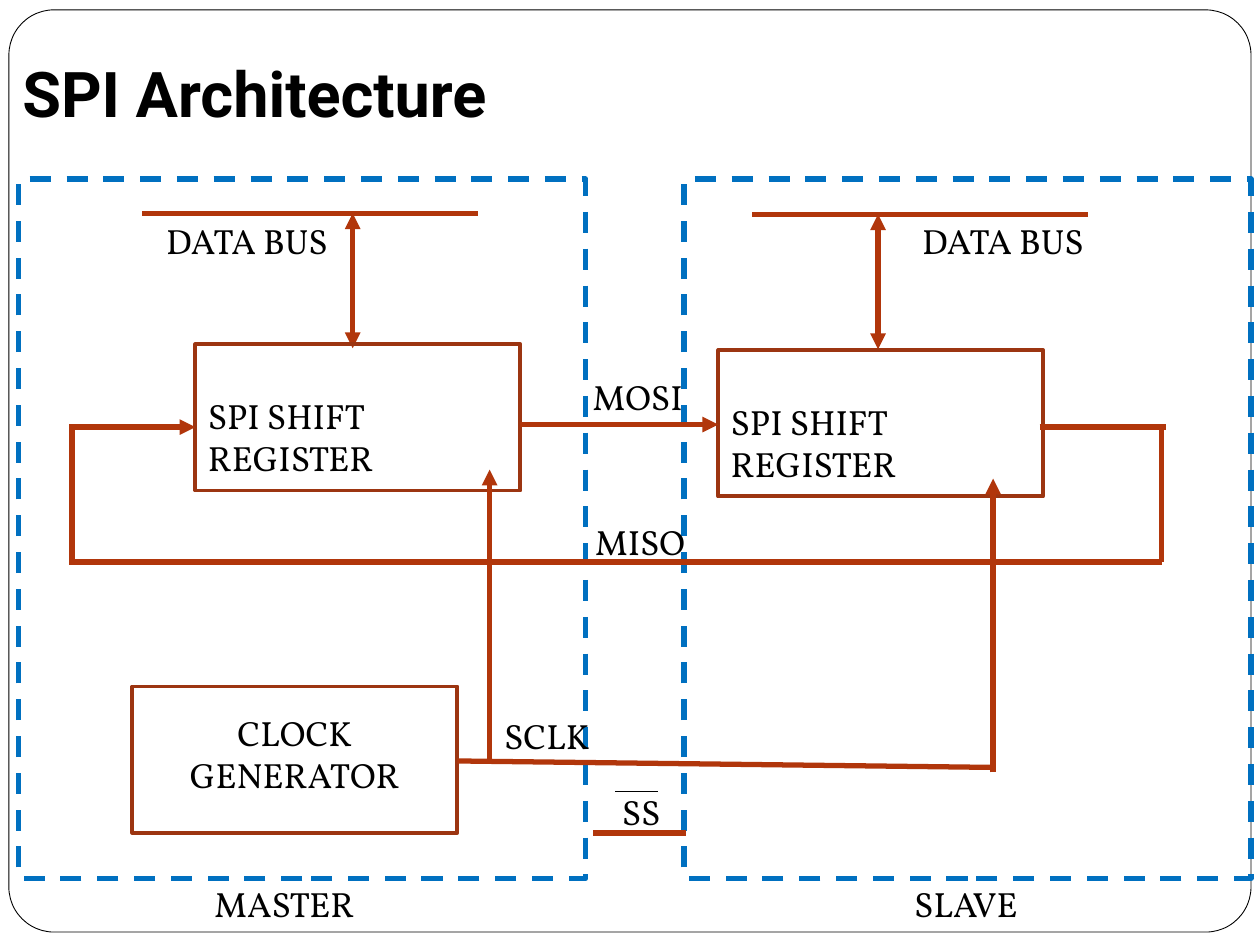
from lxml import etree
from pptx import Presentation
from pptx import util as u
from pptx.dml.color import RGBColor
from pptx.enum import dml, shapes, text
from pptx.oxml import ns

COLORS = {"paper": "FFFFFF", "ink": "000000", "wire": "B1360B", "block": "9C3511", "frame": "0070C0"}
BLOCK_SIZE = (6.55, 2.95)
LABEL_SIZE = (4.01, 1.19)
DEVICE_SIZE = (11.43, 14.1)
LEFT, CENTER = text.PP_ALIGN.LEFT, text.PP_ALIGN.CENTER


def color(name):
    """Return the named palette colour."""
    return RGBColor.from_string(COLORS[name])


def apply_format(target, values):
    """Set attributes of an object from a dict."""
    for name, value in values.items():
        setattr(target, name, value)


def add_box(slide, left, top, size, line, width, kind=shapes.MSO_SHAPE.RECTANGLE):
    """Add an unfilled outlined shape."""
    shape = slide.shapes.add_shape(kind, u.Cm(left), u.Cm(top), *map(u.Cm, size))
    shape.shadow.inherit = False
    shape.fill.background()
    shape.line.color.rgb = color(line)
    shape.line.width = u.Pt(width)
    return shape


def add_wire(slide, start, end, arrows=(), line="wire", width=3):
    """Add a straight line with arrowheads at the named ends."""
    wire = slide.shapes.add_connector(shapes.MSO_CONNECTOR.STRAIGHT, *map(u.Cm, start + end))
    wire.line.color.rgb = color(line)
    wire.line.width = u.Pt(width)
    for arrow in arrows:
        etree.SubElement(wire.line._get_or_add_ln(), ns.qn(f"a:{arrow}"), type="triangle")
    etree.SubElement(wire._element.spPr, ns.qn("a:effectLst"))


def add_label(slide, words, left, top, size=LABEL_SIZE, align=CENTER):
    """Add a wrapped text label."""
    frame = slide.shapes.add_textbox(u.Cm(left), u.Cm(top), *map(u.Cm, size)).text_frame
    frame.word_wrap = True
    paragraph = frame.paragraphs[0]
    paragraph.text, paragraph.alignment = words, align
    apply_format(paragraph.runs[0].font, {"name": "Vollkorn", "size": u.Pt(20)})
    paragraph.runs[0].font.color.rgb = color("ink")


def add_title(slide):
    """Place the page border and the title."""
    border = add_box(slide, 0.18, 0.2, (25.04, 18.59), "ink", 0.5, shapes.MSO_SHAPE.ROUNDED_RECTANGLE)
    border.adjustments[0] = 0.049
    border.fill.solid()
    border.fill.fore_color.rgb = color("paper")
    slide.shapes._spTree.insert(2, border._element)
    title = slide.shapes.title
    apply_format(title, {"left": u.Cm(0.2), "top": u.Cm(0.84), "width": u.Cm(21.59), "height": u.Cm(2.03)})
    frame = title.text_frame
    frame.text = "SPI Architecture"
    apply_format(frame, {
        "vertical_anchor": text.MSO_ANCHOR.BOTTOM, "margin_left": u.Cm(0.25), "margin_right": u.Cm(0.25),
        "margin_top": u.Cm(0.13), "margin_bottom": u.Cm(0.25)})
    frame.paragraphs[0].alignment = LEFT
    font = frame.paragraphs[0].runs[0].font
    apply_format(font, {"name": "Roboto", "size": u.Pt(36), "bold": True})
    font.color.rgb = color("ink")


def add_device(slide, left, top, name, bus, arrow_x, register, bus_label_x, name_x):
    """Draw one dashed device with its bus and shift register."""
    bus_x, bus_y = left + bus[0], top + bus[1]
    add_wire(slide, (bus_x, bus_y), (bus_x + 6.77, bus_y))
    add_wire(slide, (left + arrow_x, bus_y), (left + arrow_x, bus_y + 2.72), ("headEnd", "tailEnd"))
    register_x, register_y = left + register[0], top + register[1]
    add_box(slide, register_x, register_y, BLOCK_SIZE, "block", 2.25)
    frame = add_box(slide, left, top, DEVICE_SIZE, "frame", 3)
    frame.line.dash_style = dml.MSO_LINE.DASH
    add_label(slide, "DATA BUS", left + bus_label_x, top + 0.69, align=LEFT)
    add_label(slide, "SPI SHIFT REGISTER", register_x, register_y + 0.88, (BLOCK_SIZE[0], 1.19), LEFT)
    add_label(slide, name, left + name_x, top + 14.05)


def add_clock(slide, left, top):
    """Draw the clock generator and its lines to both registers."""
    add_box(slide, left, top, BLOCK_SIZE, "block", 2.25)
    add_label(slide, "CLOCK GENERATOR", left, top + 0.38, (BLOCK_SIZE[0], 2.11))
    add_wire(slide, (left + BLOCK_SIZE[0], top + 1.5), (left + 17.35, top + 1.63))
    add_wire(slide, (left + 17.35, top + 1.73), (left + 17.35, top - 4.19), ("tailEnd",))
    add_wire(slide, (left + 7.2, top + 1.55), (left + 7.2, top - 4.37), ("tailEnd",))
    add_label(slide, "SCLK", left + 6.35, top + 0.43)


def add_data_loop(slide, left, top):
    """Draw the data lines that link both registers."""
    right, bottom = left + 21.97, top + 2.72
    add_wire(slide, (left + 9.04, top - 0.05), (left + 13.03, top - 0.05), ("tailEnd",))
    add_wire(slide, (left + 19.51, top), (right + 0.08, top))
    add_wire(slide, (right, top), (right, bottom))
    add_wire(slide, (left - 0.05, bottom), (right, bottom))
    add_wire(slide, (left, top), (left, bottom))
    add_wire(slide, (left - 0.05, top), (left + 2.49, top), ("tailEnd",))
    add_label(slide, "MOSI", left + 9.4, top - 1.17)
    add_label(slide, "MISO", left + 9.45, top + 1.75)


def add_select(slide, left, top):
    """Draw the active-low select line."""
    add_label(slide, "SS", left - 1.04, top - 0.97)
    add_wire(slide, (left, top), (left + 1.86, top))
    add_wire(slide, (left + 0.44, top - 0.84), (left + 1.3, top - 0.84), line="ink", width=0.75)


def main():
    """Build and save the slide."""
    presentation = Presentation()
    apply_format(presentation, {"slide_width": u.Cm(25.4), "slide_height": u.Cm(19.05)})
    slide = presentation.slides.add_slide(presentation.slide_layouts.get_by_name("Title Only"))
    add_title(slide)
    add_device(slide, 0.38, 3.61, "MASTER", (2.49, 0.69), 6.73, (3.56, 3.33), 2.72, 3.35)
    add_device(slide, 13.79, 3.61, "SLAVE", (1.37, 0.71), 3.91, (0.69, 3.45), 4.55, 3.68)
    add_data_loop(slide, 1.45, 8.61)
    add_clock(slide, 2.67, 13.84)
    add_select(slide, 11.96, 16.79)
    presentation.save("out.pptx")


main()
